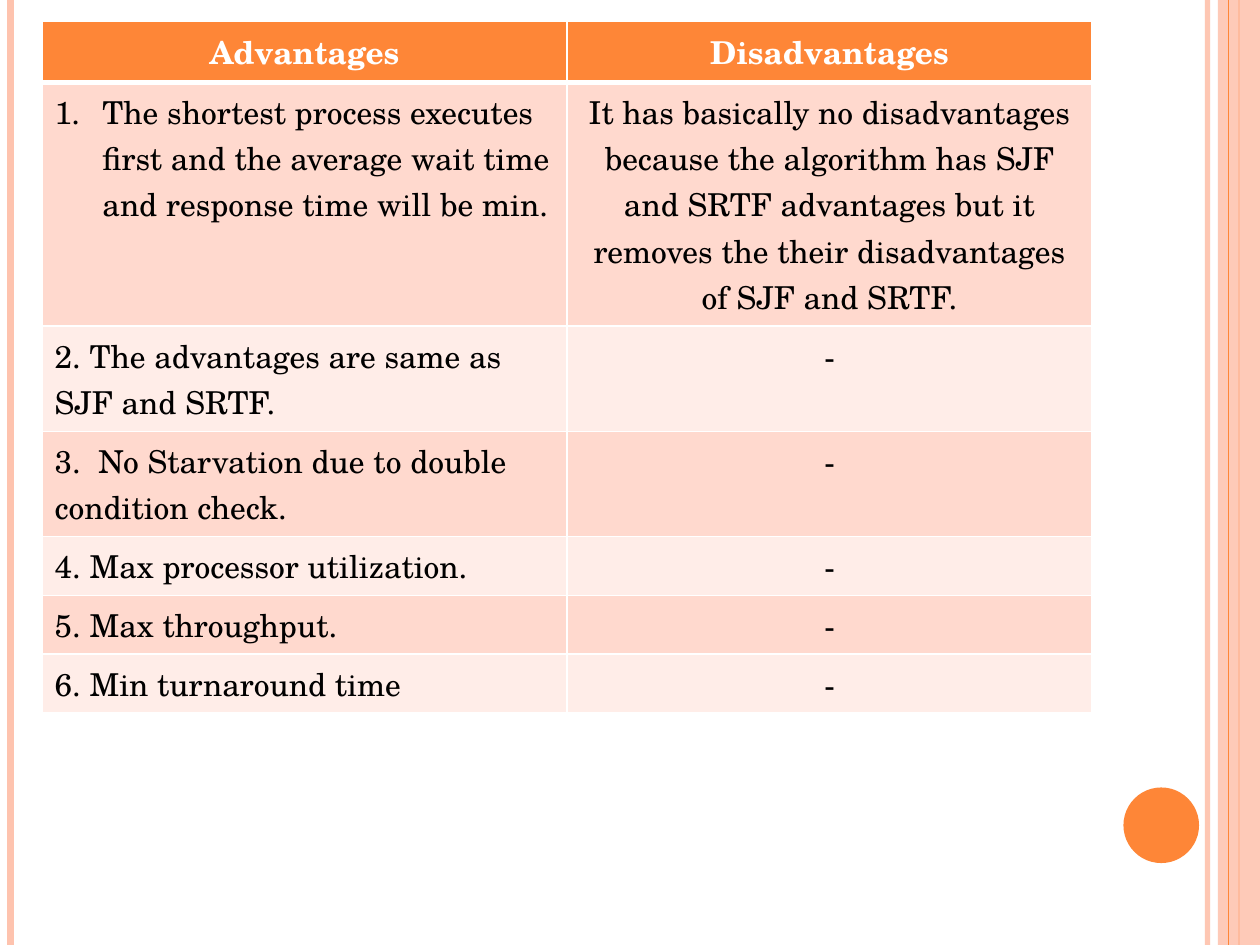
from lxml import etree
from pptx import Presentation
from pptx.dml.color import RGBColor
from pptx.enum.shapes import MSO_CONNECTOR, MSO_SHAPE
from pptx.enum.text import PP_ALIGN
from pptx.oxml.ns import qn
from pptx.util import Inches, Pt

STRAIGHT = MSO_CONNECTOR.STRAIGHT
RECTANGLE, OVAL = MSO_SHAPE.RECTANGLE, MSO_SHAPE.OVAL
LEFT, CENTER = PP_ALIGN.LEFT, PP_ALIGN.CENTER

FONT = "TeX Gyre Schola"
ORANGE, PEACH, WHITE, BLACK = "FE8637", "FEC3AE", "FFFFFF", "000000"
BANDS = ("FFD9CE", "FFEDE8")
COLUMNS, ROWS = 120, 90
ROW_HEIGHT = 0.41

HEADINGS = ("Advantages", "Disadvantages")
ADVANTAGES = (
    "The shortest process executes first and the average wait time "
    "and response time will be min.",
    "2. The advantages are same as SJF and SRTF.",
    "3.  No Starvation due to double condition check.",
    "4. Max processor utilization.",
    "5. Max throughput.",
    "6. Min turnaround time",
)
DISADVANTAGES = (
    "It has basically no disadvantages because the algorithm has SJF and SRTF "
    "advantages but it removes the their disadvantages of SJF and SRTF.",
) + ("-",) * 5


def grid(count):
    """Return the length of a number of grid units, twelve to the inch."""
    return Inches(count / 12)


def color(value):
    """Turn a hex string into a colour."""
    return RGBColor.from_string(value)


def set_alpha(fill_parent, percent):
    """Make the solid fill under an element partly transparent."""
    tone = fill_parent.find(qn("a:solidFill"))[0]
    etree.SubElement(tone, qn("a:alpha"), val=str(percent * 1000))


def add_stripe(slide, column, hue, weight, alpha=100):
    """Draw a full-height vertical line at a grid column."""
    stripe = slide.shapes.add_connector(
        STRAIGHT, grid(column), 0, grid(column), grid(ROWS))
    stripe.line.color.rgb = color(hue)
    stripe.line.width = Pt(weight)
    properties = stripe.element.spPr
    if alpha < 100:
        set_alpha(properties.find(qn("a:ln")), alpha)
    etree.SubElement(properties, qn("a:effectLst"))


def add_block(slide, kind, box, hue, alpha=100):
    """Draw a filled shape without outline in a box of grid units."""
    block = slide.shapes.add_shape(kind, *map(grid, box))
    block.shadow.inherit = False
    block.fill.solid()
    block.fill.fore_color.rgb = color(hue)
    block.line.fill.background()
    if alpha < 100:
        set_alpha(block.element.spPr, alpha)


def add_frame(slide, box):
    """Draw the side stripes, right band and circle in the page box."""
    left, top, width, height = box
    right = left + width
    add_stripe(slide, right - 5, PEACH, 3, alpha=93)
    add_stripe(slide, left + 1, PEACH, 4.5)
    add_stripe(slide, right - 2, ORANGE, 1.5)
    add_block(slide, RECTANGLE, (right - 4, top, 4, height), PEACH, alpha=87)
    add_stripe(slide, right - 3, ORANGE, 0.75)
    add_block(slide, OVAL, (right - 13, top + height * 5 / 6, 7.2, 7.2), ORANGE)


def write(cell, text, hue=BLACK, bold=False, align=LEFT, number=None):
    """Put formatted text in a cell, with automatic numbering if asked."""
    para = cell.text_frame.paragraphs[0]
    para.alignment = align
    span = para.add_run()
    span.text = text
    span.font.name = FONT
    span.font.size = Pt(18)
    span.font.bold = bold
    span.font.color.rgb = color(hue)
    if number:
        properties = para._p.get_or_add_pPr()
        properties.set("marL", str(Inches(0.38)))
        properties.set("indent", str(-Inches(0.38)))
        etree.SubElement(properties, qn("a:buFont"), typeface="+mj-lt")
        etree.SubElement(properties, qn("a:buAutoNum"),
                         type="arabicPeriod", startAt=str(number))


def paint_cell(cell, hue, top=1, bottom=1):
    """Give a cell white borders and a solid fill."""
    properties = cell._tc.get_or_add_tcPr()
    for side, weight in (("L", 1), ("R", 1), ("T", top), ("B", bottom)):
        edge = etree.SubElement(
            properties, qn(f"a:ln{side}"), w=str(Pt(weight)))
        fill = etree.SubElement(edge, qn("a:solidFill"))
        etree.SubElement(fill, qn("a:srgbClr"), val=WHITE)
    cell.fill.solid()
    cell.fill.fore_color.rgb = color(hue)


def add_comparison(slide, box):
    """Build the table of advantages and disadvantages in a box."""
    pairs = list(zip(ADVANTAGES, DISADVANTAGES))
    frame = slide.shapes.add_table(
        len(pairs) + 1, len(HEADINGS), *map(grid, box))
    table = frame.table
    for row in table.rows:
        row.height = Inches(ROW_HEIGHT)
    for column, heading in enumerate(HEADINGS):
        cell = table.cell(0, column)
        paint_cell(cell, ORANGE, bottom=3)
        write(cell, heading, hue=WHITE, bold=True, align=CENTER)
    for index, pair in enumerate(pairs, start=1):
        first = index == 1
        for column, text in enumerate(pair):
            cell = table.cell(index, column)
            paint_cell(cell, BANDS[(index - 1) % 2], top=3 if first else 1)
            write(cell, text, align=CENTER if column else LEFT,
                  number=1 if first and not column else None)


def main():
    """Build and save the slide."""
    deck = Presentation()
    deck.slide_width, deck.slide_height = grid(COLUMNS), grid(ROWS)
    page = deck.slides.add_slide(deck.slide_layouts[6])
    page.background.fill.solid()
    page.background.fill.fore_color.rgb = color(WHITE)
    add_frame(page, (0, 0, COLUMNS, ROWS))
    add_comparison(page, (4, 2, 100, 55.4))
    deck.save("out.pptx")


if __name__ == "__main__":
    main()
